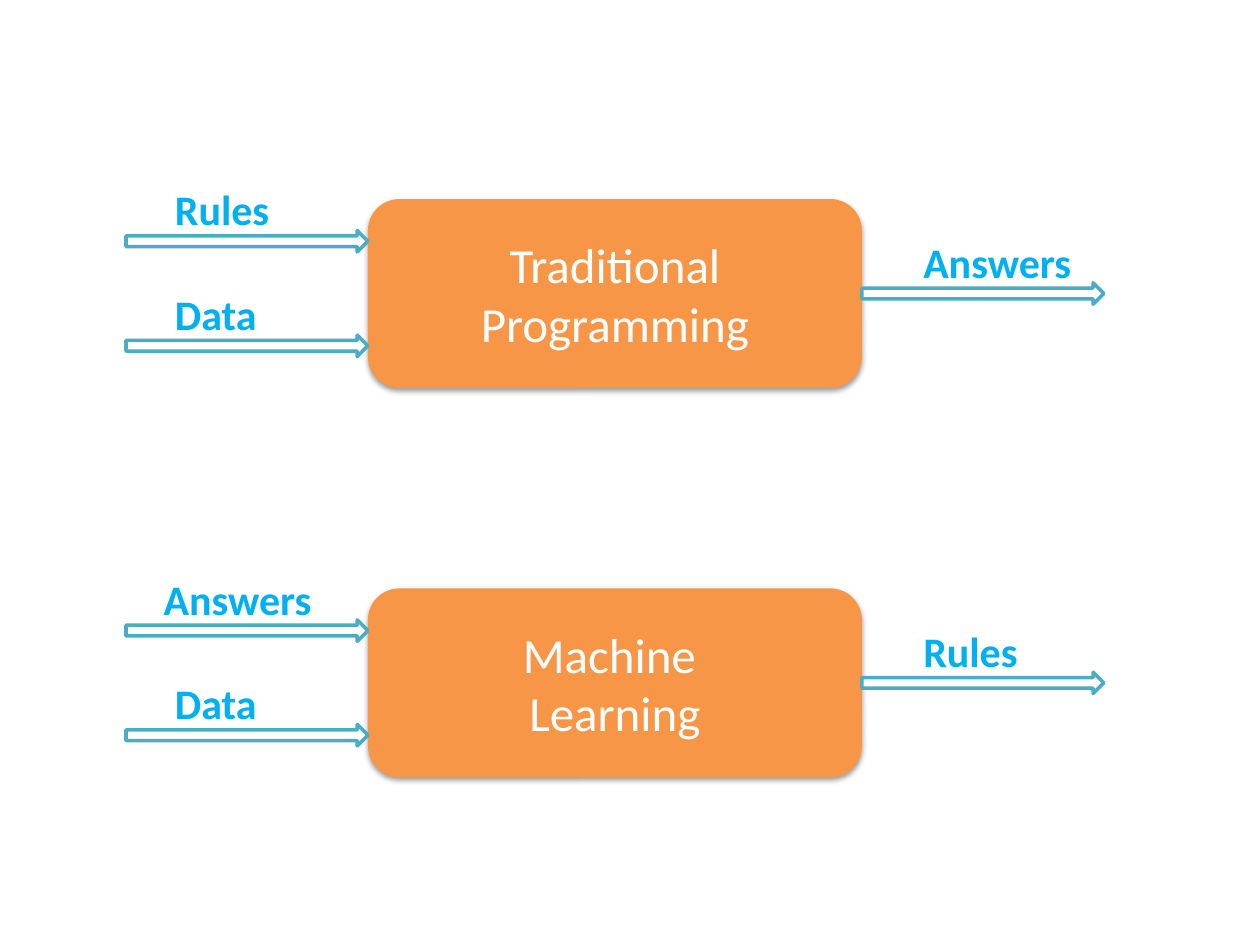
from dataclasses import dataclass

from lxml.etree import SubElement
from pptx import Presentation
from pptx.dml.color import RGBColor
from pptx.enum.shapes import MSO_SHAPE
from pptx.enum.text import MSO_ANCHOR, MSO_AUTO_SIZE, PP_ALIGN
from pptx.oxml.ns import qn
from pptx.shapes.autoshape import Shape
from pptx.slide import Slide
from pptx.util import Inches, Pt


@dataclass(frozen=True)
class Theme:
    font: str = "Calibri"
    box: RGBColor = RGBColor(0xF7, 0x96, 0x46)
    white: RGBColor = RGBColor(0xFF, 0xFF, 0xFF)
    arrow_line: RGBColor = RGBColor(0x4B, 0xAC, 0xC6)
    label: RGBColor = RGBColor(0x00, 0xB0, 0xF0)
    box_size: Pt = Pt(28)
    label_size: Pt = Pt(24)
    line_width: Pt = Pt(2)


@dataclass(frozen=True)
class Label:
    text: str
    left: float
    width: float
    wrap: bool = False


@dataclass(frozen=True)
class Process:
    top: float
    lines: tuple[str, ...]
    inputs: tuple[Label, Label]
    output: Label


THEME = Theme()
BOX_LEFT, BOX_WIDTH, BOX_HEIGHT = 2.92, 3.92, 1.5
ARROW_WIDTH, ARROW_HEIGHT = 1.92, 0.17
INPUT_LEFT = BOX_LEFT - ARROW_WIDTH
OUTPUT_LEFT = BOX_LEFT + BOX_WIDTH
INPUT_OFFSETS = (0.25, 1.08)
OUTPUT_OFFSET = sum(INPUT_OFFSETS) / 2
LABEL_RISE, LABEL_HEIGHT = 0.42, 0.5

DATA = Label("Data", 1.29, 0.86)
PROCESSES = (
    Process(1.58, ("Traditional Programming",),
            (Label("Rules", 1.29, 0.96), DATA),
            Label("Answers", 7.23, 1.44, wrap=True)),
    Process(4.67, ("Machine ", "Learning"),
            (Label("Answers", 1.2, 1.39), DATA),
            Label("Rules", 7.23, 1.44, wrap=True)),
)


def add_soft_shadow(sp: Shape) -> None:
    sp.shadow.inherit = False
    effects = sp._element.spPr.find(qn("a:effectLst"))
    shadow = SubElement(effects, qn("a:outerShdw"), blurRad=str(Pt(3.1)),
                        dist=str(Pt(1.6)), dir="5400000", rotWithShape="0")
    color = SubElement(shadow, qn("a:srgbClr"), val="000000")
    SubElement(color, qn("a:alpha"), val="38000")


def add_box(slide: Slide, process: Process) -> None:
    sp = slide.shapes.add_shape(
        MSO_SHAPE.ROUNDED_RECTANGLE, Inches(BOX_LEFT), Inches(process.top),
        Inches(BOX_WIDTH), Inches(BOX_HEIGHT))
    sp.fill.solid()
    sp.fill.fore_color.rgb = THEME.box
    sp.line.fill.background()
    add_soft_shadow(sp)
    tf = sp.text_frame
    tf.word_wrap = True
    tf.vertical_anchor = MSO_ANCHOR.MIDDLE
    tf.text = "\n".join(process.lines)
    for p in tf.paragraphs:
        p.alignment = PP_ALIGN.CENTER
        p.font.name = THEME.font
        p.font.size = THEME.box_size
        p.font.color.rgb = THEME.white


def add_labelled_arrow(slide: Slide, left: float, top: float, label: Label) -> None:
    sp = slide.shapes.add_shape(
        MSO_SHAPE.RIGHT_ARROW, Inches(left), Inches(top),
        Inches(ARROW_WIDTH), Inches(ARROW_HEIGHT))
    sp.shadow.inherit = False
    sp.fill.solid()
    sp.fill.fore_color.rgb = THEME.white
    sp.line.color.rgb = THEME.arrow_line
    sp.line.width = THEME.line_width

    tb = slide.shapes.add_textbox(
        Inches(label.left), Inches(top - LABEL_RISE),
        Inches(label.width), Inches(LABEL_HEIGHT))
    tf = tb.text_frame
    tf.word_wrap = label.wrap
    tf.auto_size = MSO_AUTO_SIZE.SHAPE_TO_FIT_TEXT
    tf.text = label.text
    p = tf.paragraphs[0]
    p.font.name = THEME.font
    p.font.size = THEME.label_size
    p.font.bold = True
    p.font.color.rgb = THEME.label


def add_process(slide: Slide, process: Process) -> None:
    add_box(slide, process)
    for offset, label in zip(INPUT_OFFSETS, process.inputs):
        add_labelled_arrow(slide, INPUT_LEFT, process.top + offset, label)
    add_labelled_arrow(slide, OUTPUT_LEFT, process.top + OUTPUT_OFFSET, process.output)


def main() -> None:
    prs = Presentation()
    prs.slide_width, prs.slide_height = Inches(10), Inches(7.5)
    slide = prs.slides.add_slide(prs.slide_layouts[6])
    for process in PROCESSES:
        add_process(slide, process)
    prs.save("out.pptx")


if __name__ == "__main__":
    main()
